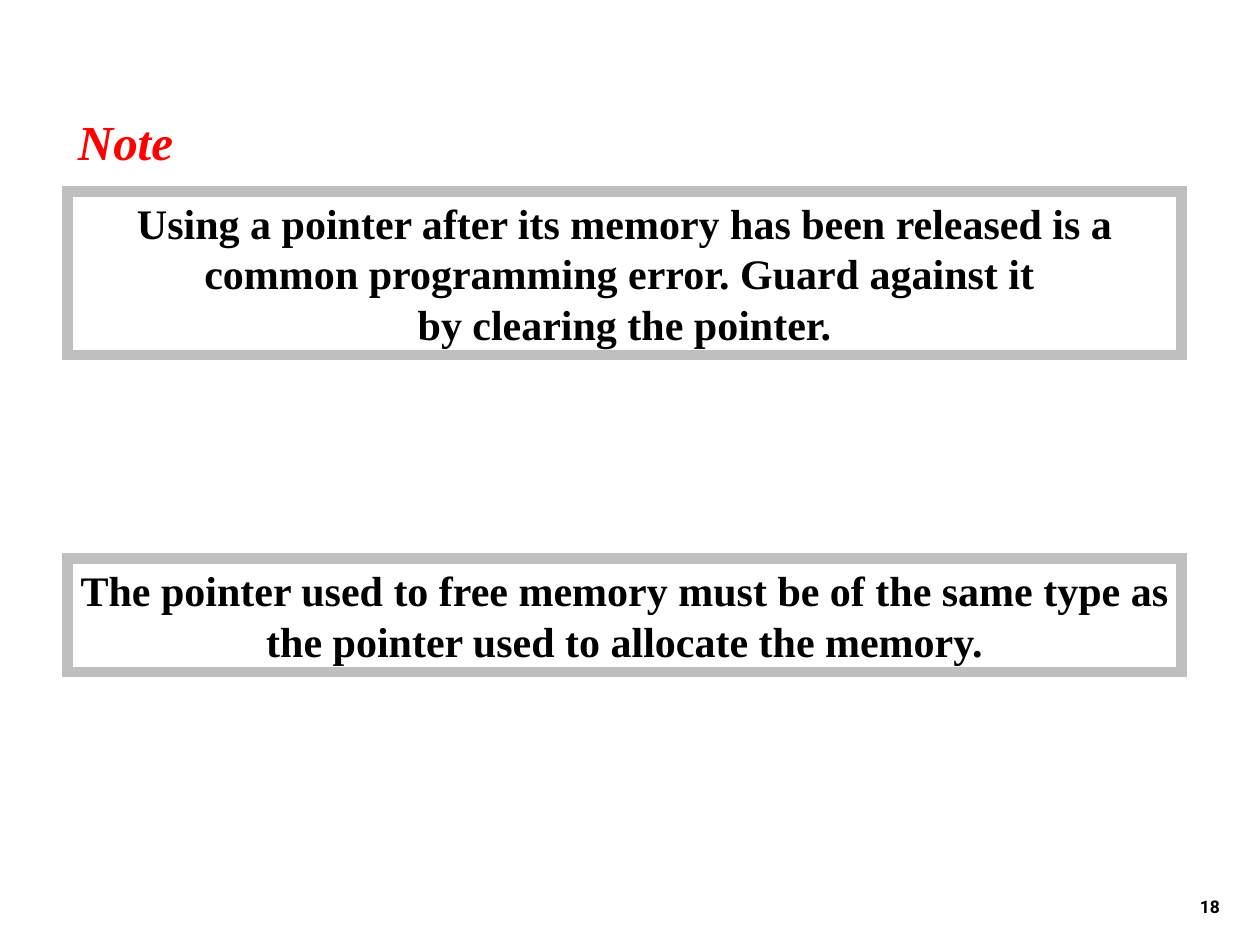
from lxml.etree import SubElement
from pptx import Presentation
from pptx.dml.color import RGBColor
from pptx.enum.shapes import MSO_SHAPE as Shape
from pptx.enum.text import MSO_ANCHOR as Anchor, MSO_AUTO_SIZE as AutoSize, PP_ALIGN as Align
from pptx.oxml.ns import qn
from pptx.util import Pt

SERIF = "Times New Roman"
BOX_LEFT, BOX_WIDTH = 38.6, 636.6


def color(hex_value):
    return RGBColor.from_string(hex_value)


def write_text(shape, text, *, size, font=SERIF, text_color="000000", italic=False,
               align=Align.CENTER, anchor=Anchor.TOP, wrap=True, grow=True):
    """Fill the shape with bold text, one paragraph per line."""
    frame = shape.text_frame
    frame.word_wrap = wrap
    frame.auto_size = AutoSize.SHAPE_TO_FIT_TEXT if grow else AutoSize.NONE
    frame.vertical_anchor = anchor
    frame.text = text
    for paragraph in frame.paragraphs:
        paragraph.alignment = align
        paragraph.font.name = font
        paragraph.font.size = Pt(size)
        paragraph.font.bold = True
        paragraph.font.italic = italic
        paragraph.font.color.rgb = color(text_color)


def add_label(slide, text, left, top, width, height, **text_format):
    label = slide.shapes.add_textbox(Pt(left), Pt(top), Pt(width), Pt(height))
    write_text(label, text, **text_format)


def add_note_box(slide, text, top, height):
    """Add a white box with a thick grey border and square corners."""
    box = slide.shapes.add_shape(
        Shape.RECTANGLE, Pt(BOX_LEFT), Pt(top), Pt(BOX_WIDTH), Pt(height))
    box.shadow.inherit = False
    box.fill.solid()
    box.fill.fore_color.rgb = color("FFFFFF")
    box.line.color.rgb = color("BFBFBF")
    box.line.width = Pt(6)
    outline = box.element.spPr.find(qn("a:ln"))
    SubElement(outline, qn("a:miter"), lim="800000")
    write_text(box, text, size=24)


def main():
    presentation = Presentation()
    presentation.slide_width, presentation.slide_height = Pt(720), Pt(540)
    slide = presentation.slides.add_slide(presentation.slide_layouts[6])

    add_label(slide, "18", 554.4, 491.8, 149.8, 36, size=10, font="Roboto",
              align=Align.RIGHT, anchor=Anchor.BOTTOM, grow=False)
    add_note_box(slide, "Using a pointer after its memory has been released is a common "
                 "programming error. Guard against it \nby clearing the pointer.", 109.4, 93.6)
    add_label(slide, "Note", 36.5, 60, 70.4, 41, size=28, text_color="FF0000",
              italic=True, wrap=False)
    add_note_box(slide, "The pointer used to free memory must be of the same type as "
                 "the pointer used to allocate the memory.", 319.3, 64.8)

    presentation.save("out.pptx")


if __name__ == "__main__":
    main()
